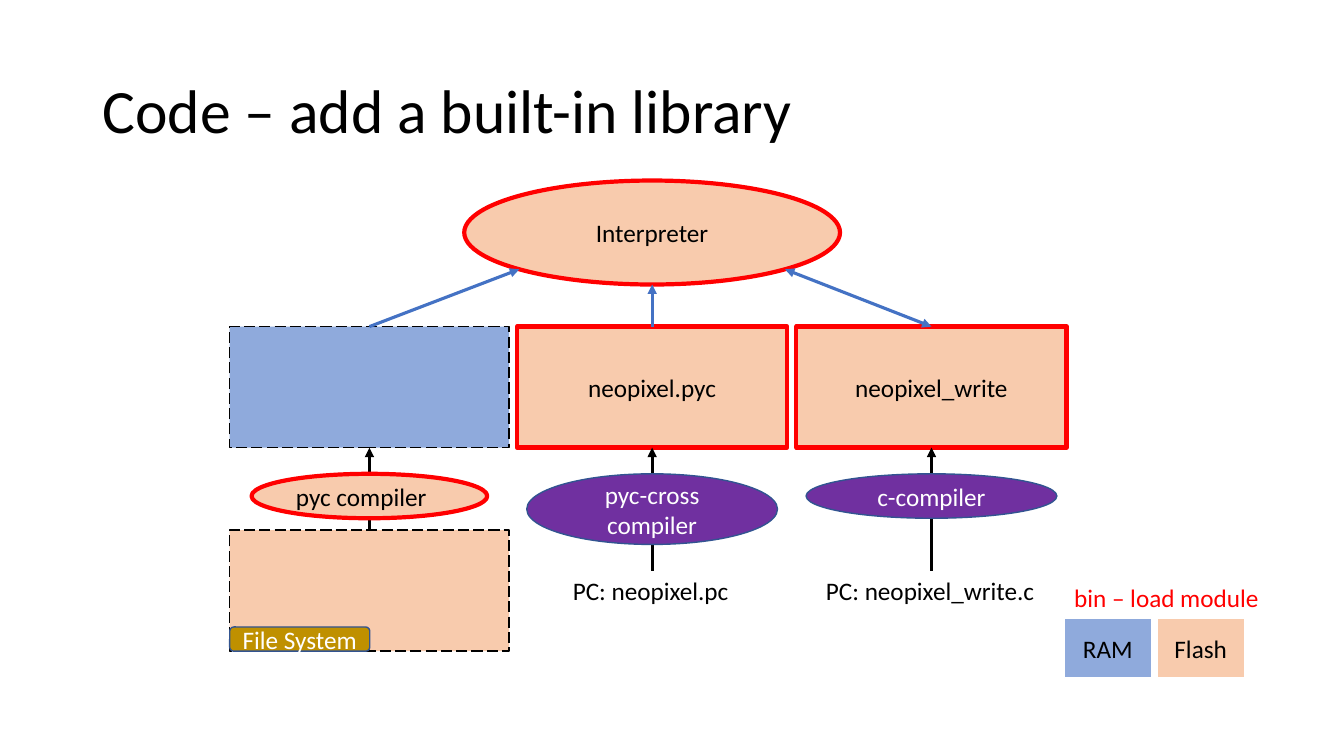
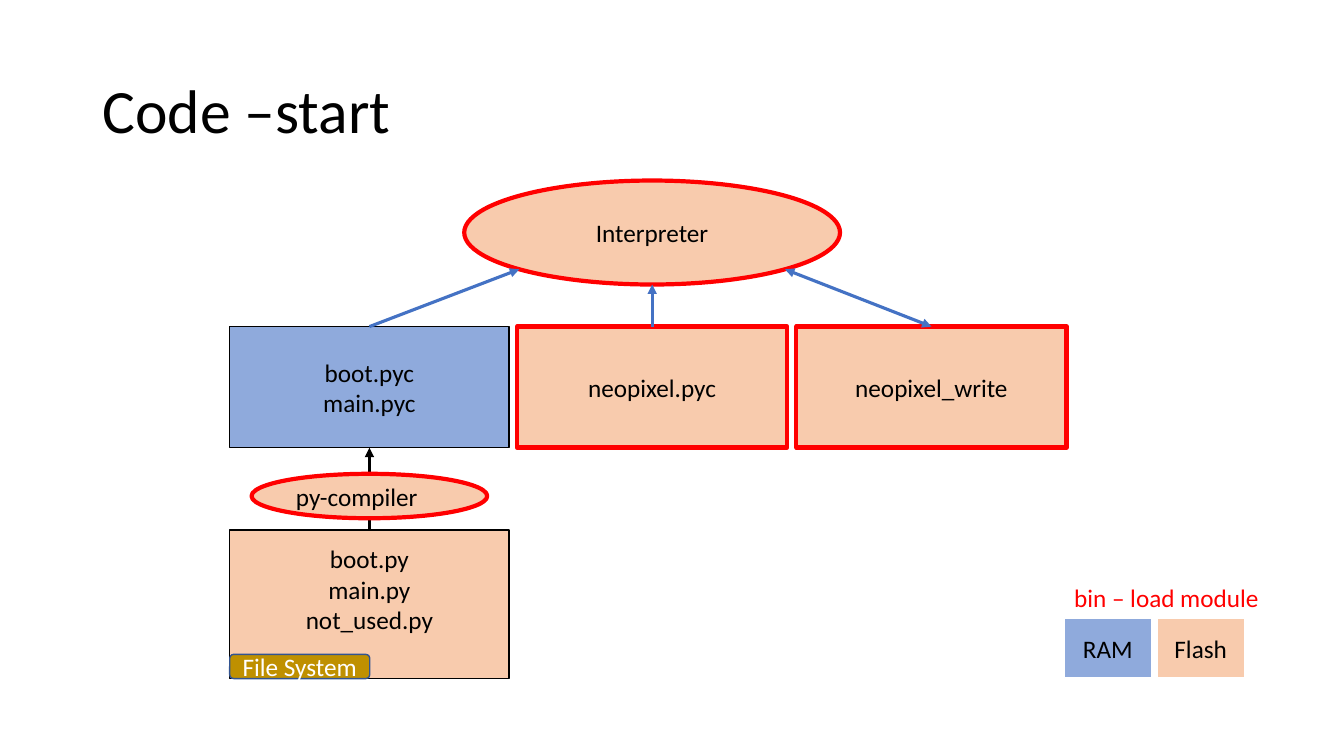
"""Build two slides on where code is compiled, stored and interpreted."""
from dataclasses import dataclass
from math import sqrt

from lxml.etree import SubElement
from pptx import Presentation
from pptx.dml.color import RGBColor
from pptx.enum.dml import MSO_LINE
from pptx.enum.shapes import MSO_CONNECTOR, MSO_SHAPE
from pptx.enum.text import MSO_ANCHOR, MSO_AUTO_SIZE, PP_ALIGN
from pptx.oxml.ns import qn
from pptx.util import Cm, Pt


@dataclass(frozen=True)
class Theme:
    font: str = "Calibri"
    title_size: int = 44
    body_size: int = 18
    ink: str = "000000"
    paper: str = "FFFFFF"
    ram: str = "8FAADC"
    flash: str = "F8CBAD"
    loaded: str = "FF0000"
    pc_tool: str = "7030A0"
    storage: str = "BF9000"
    outline: str = "325491"
    link: str = "4472C4"
    thin: float = 1
    arrow: float = 2.25
    thick: float = 3


THEME = Theme()

SLIDES = [
    {
        "title": "Code – add a built-in library",
        "in_ram": [],
        "compiler": "pyc compiler",
        "files": [],
        "files_height": 3.05,
        "dashed": True,
        "pc_builds": [
            {"column": 1, "tool": "pyc-cross compiler", "tool_height": 1.78,
             "source": "PC: neopixel.pc", "source_width": 4.5},
            {"column": 2, "tool": "c-compiler", "tool_height": 1.12,
             "source": "PC: neopixel_write.c", "source_width": 5.82},
        ],
    },
    {
        "title": "Code –start",
        "in_ram": ["boot.pyc", "main.pyc"],
        "compiler": "py-compiler",
        "files": ["boot.py", "main.py", "not_used.py"],
        "files_height": 3.74,
        "dashed": False,
        "pc_builds": [],
    },
]
BUILT_IN = ["neopixel.pyc", "neopixel_write"]
LEGEND = [("RAM", THEME.ram), ("Flash", THEME.flash)]

COLUMNS = [(5.79, 7.04), (13.03, 6.81), (20.07, 6.81)]
CENTERS = [left + width / 2 for left, width in COLUMNS]
MODULE_TOP, MODULE_HEIGHT = 8.23, 3.05
COMPILER_TOP, COMPILER_HEIGHT = 11.94, 1.12
COMPILER_WIDTH, TOOL_WIDTH = 5.94, 6.32
FILES_TOP, SOURCE_TOP = 13.36, 14.38
LABEL_WIDTH, LABEL_HEIGHT = 3.53, 0.61
FILES_BOTTOM_INSET = 0.9
INTERPRETER_TOP, INTERPRETER_WIDTH, INTERPRETER_HEIGHT = 4.55, 9.47, 2.62
LEGEND_LEFT, LEGEND_TOP, LEGEND_PITCH = 26.82, 15.57, 2.34
TEXT_HEIGHT = 1.02


def rgb(color):
    return RGBColor.from_string(color)


def write(frame, lines, color=THEME.ink, size=THEME.body_size, align=PP_ALIGN.CENTER):
    for index, line in enumerate(lines):
        paragraph = frame.add_paragraph() if index else frame.paragraphs[0]
        paragraph.alignment = align
        run = paragraph.add_run()
        run.text = line
        run.font.name = THEME.font
        run.font.size = Pt(size)
        run.font.color.rgb = rgb(color)


def add_block(slide, kind, box, fill, line, lines, weight=THEME.thin,
              color=THEME.ink, dashed=False, align=PP_ALIGN.CENTER):
    block = slide.shapes.add_shape(kind, *map(Cm, box))
    block.shadow.inherit = False
    block.fill.solid()
    block.fill.fore_color.rgb = rgb(fill)
    block.line.color.rgb = rgb(line)
    block.line.width = Pt(weight)
    if dashed:
        block.line.dash_style = MSO_LINE.LONG_DASH
    block.text_frame.vertical_anchor = MSO_ANCHOR.MIDDLE
    write(block.text_frame, lines, color, align=align)
    return block


def add_note(slide, box, line, color=THEME.ink, wrap=False):
    note = slide.shapes.add_textbox(*map(Cm, box))
    note.text_frame.word_wrap = wrap
    note.text_frame.auto_size = MSO_AUTO_SIZE.SHAPE_TO_FIT_TEXT
    write(note.text_frame, [line], color, align=PP_ALIGN.LEFT)


def add_arrow(slide, start, end, color, both_ends=False):
    arrow = slide.shapes.add_connector(MSO_CONNECTOR.STRAIGHT, *map(Cm, (*start, *end)))
    arrow.line.color.rgb = rgb(color)
    arrow.line.width = Pt(THEME.arrow)
    outline = arrow.line._get_or_add_ln()
    for tip in ["headEnd", "tailEnd"] if both_ends else ["tailEnd"]:
        SubElement(outline, qn(f"a:{tip}"), type="triangle")
    SubElement(arrow._element.spPr, qn("a:effectLst"))
    return arrow


def add_title(slide, title):
    frame = slide.shapes.title.text_frame
    frame.auto_size = MSO_AUTO_SIZE.NONE
    frame.vertical_anchor = MSO_ANCHOR.MIDDLE
    write(frame, [title], size=THEME.title_size, align=PP_ALIGN.LEFT)
    frame.paragraphs[0].line_spacing = 0.9


def add_modules(slide, content):
    left, width = COLUMNS[0]
    modules = [add_block(slide, MSO_SHAPE.RECTANGLE, (left, MODULE_TOP, width, MODULE_HEIGHT),
                         THEME.ram, THEME.ink, content["in_ram"], dashed=content["dashed"])]
    for (left, width), module in zip(COLUMNS[1:], BUILT_IN):
        modules.append(add_block(slide, MSO_SHAPE.RECTANGLE,
                                 (left, MODULE_TOP, width, MODULE_HEIGHT),
                                 THEME.flash, THEME.loaded, [module], THEME.thick))
    return modules


def add_interpreter(slide, modules):
    center = CENTERS[1]
    middle = INTERPRETER_TOP + INTERPRETER_HEIGHT / 2
    add_block(slide, MSO_SHAPE.OVAL,
              (center - INTERPRETER_WIDTH / 2, INTERPRETER_TOP,
               INTERPRETER_WIDTH, INTERPRETER_HEIGHT),
              THEME.flash, THEME.loaded, ["Interpreter"], THEME.thick)
    reach = INTERPRETER_WIDTH / 2 / sqrt(2)
    drop = INTERPRETER_HEIGHT / 2 / sqrt(2)
    ends = [(center - reach, middle + drop),
            (center, INTERPRETER_TOP + INTERPRETER_HEIGHT),
            (center + reach, middle + drop)]
    for column, (module, end) in enumerate(zip(modules, ends)):
        arrow = add_arrow(slide, (CENTERS[column], MODULE_TOP), end, THEME.link,
                          both_ends=column == 2)
        arrow.begin_connect(module, 0)


def add_build(slide, module, column, start_top):
    center = CENTERS[column]
    arrow = add_arrow(slide, (center, start_top), (center, MODULE_TOP + MODULE_HEIGHT), THEME.ink)
    arrow.end_connect(module, 2)
    return arrow


def add_file_system(slide, content, module):
    left, width = COLUMNS[0]
    height = content["files_height"]
    files = add_block(slide, MSO_SHAPE.RECTANGLE, (left, FILES_TOP, width, height),
                      THEME.flash, THEME.ink, content["files"], dashed=content["dashed"])
    files.text_frame.margin_bottom = Cm(FILES_BOTTOM_INSET)
    add_build(slide, module, 0, FILES_TOP).begin_connect(files, 0)
    add_block(slide, MSO_SHAPE.ROUNDED_RECTANGLE,
              (left, FILES_TOP + height - LABEL_HEIGHT, LABEL_WIDTH, LABEL_HEIGHT),
              THEME.storage, THEME.outline, ["File System"], color=THEME.paper)
    add_block(slide, MSO_SHAPE.OVAL,
              (CENTERS[0] - COMPILER_WIDTH / 2, COMPILER_TOP, COMPILER_WIDTH, COMPILER_HEIGHT),
              THEME.flash, THEME.loaded, [content["compiler"]], THEME.thick,
              align=PP_ALIGN.LEFT)


def add_pc_build(slide, build, modules):
    column = build["column"]
    center = CENTERS[column]
    width = build["source_width"]
    add_build(slide, modules[column], column, SOURCE_TOP)
    add_block(slide, MSO_SHAPE.OVAL,
              (center - TOOL_WIDTH / 2, COMPILER_TOP, TOOL_WIDTH, build["tool_height"]),
              THEME.pc_tool, THEME.outline, [build["tool"]], color=THEME.paper)
    add_note(slide, (center - width / 2, SOURCE_TOP, width, TEXT_HEIGHT), build["source"])


def add_legend(slide):
    for index, (memory, fill) in enumerate(LEGEND):
        add_block(slide, MSO_SHAPE.RECTANGLE,
                  (LEGEND_LEFT + index * LEGEND_PITCH, LEGEND_TOP, 2.2, 1.52),
                  fill, THEME.paper, [memory])
    add_note(slide, (LEGEND_LEFT, LEGEND_TOP - TEXT_HEIGHT, 5.51, TEXT_HEIGHT),
             "bin – load module", THEME.loaded, wrap=True)


def main():
    deck = Presentation()
    deck.slide_width, deck.slide_height = Cm(33.87), Cm(19.05)
    layout = deck.slide_layouts[5]
    heading = layout.placeholders[0]
    heading.left, heading.top, heading.width, heading.height = map(Cm, (2.33, 1.01, 29.21, 3.68))
    for content in SLIDES:
        slide = deck.slides.add_slide(layout)
        add_title(slide, content["title"])
        modules = add_modules(slide, content)
        add_file_system(slide, content, modules[0])
        for build in content["pc_builds"]:
            add_pc_build(slide, build, modules)
        add_interpreter(slide, modules)
        add_legend(slide)
    deck.save("out.pptx")


if __name__ == "__main__":
    main()
